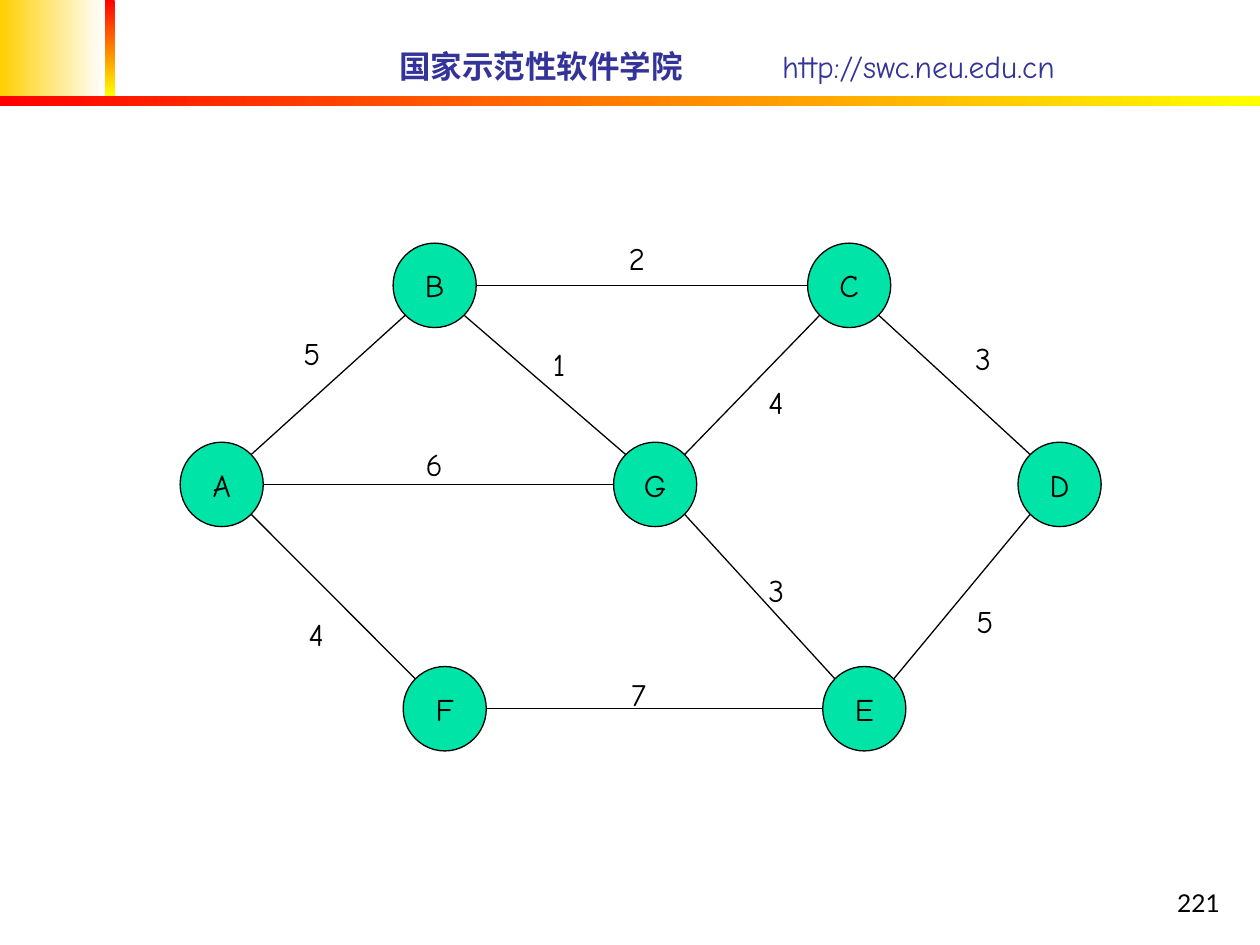
import math
from dataclasses import dataclass

from lxml import etree
from pptx import Presentation
from pptx import util as u
from pptx.dml.color import RGBColor
from pptx.enum import shapes, text
from pptx.oxml.ns import qn


@dataclass(frozen=True)
class Theme:
    font: str = "Comic Neue"
    number_font: str = "Lato"
    ink: str = "000000"
    header: str = "333399"
    node: str = "00E4A8"
    red: str = "FF0000"
    yellow: str = "FFFF00"
    gold: str = "FFCF01"
    white: str = "FFFFFF"
    body_size: int = 18
    number_size: int = 14
    line_width: float = 0.75


@dataclass(frozen=True)
class Band:
    left: float
    top: float
    width: float
    height: float
    start: str
    end: str
    angle: int = 0  # counter-clockwise degrees


@dataclass(frozen=True)
class Node:
    name: str
    left: float
    top: float


@dataclass(frozen=True)
class Edge:
    start: str
    end: str
    weight: str
    label_left: float
    label_top: float


THEME = Theme()
NODE_WIDTH, NODE_HEIGHT = 0.66, 0.67
LABEL_WIDTH, LABEL_HEIGHT = 0.39, 0.4
TOP_ROW, MIDDLE_ROW, BOTTOM_ROW = 1.93, 3.51, 5.29

BANDS = [
    Band(0, 0, 0.83, 0.76, THEME.gold, THEME.white),
    Band(0.83, 0, 0.08, 0.76, THEME.red, THEME.yellow, 270),
    Band(0, 0.76, 10, 0.08, THEME.red, THEME.yellow),
]
NODES = [
    Node("A", 1.43, MIDDLE_ROW),
    Node("B", 3.12, TOP_ROW),
    Node("C", 6.41, TOP_ROW),
    Node("D", 8.08, MIDDLE_ROW),
    Node("E", 6.53, BOTTOM_ROW),
    Node("F", 3.2, BOTTOM_ROW),
    Node("G", 4.87, MIDDLE_ROW),
]
EDGES = [
    Edge("A", "B", "5", 2.31, 2.6),
    Edge("B", "C", "2", 4.89, 1.85),
    Edge("B", "G", "1", 4.29, 2.69),
    Edge("G", "C", "4", 6, 2.99),
    Edge("A", "F", "4", 2.35, 4.83),
    Edge("F", "E", "7", 4.91, 5.31),
    Edge("E", "D", "5", 7.65, 4.73),
    Edge("C", "D", "3", 7.64, 2.64),
    Edge("A", "G", "6", 3.28, 3.48),
    Edge("G", "E", "3", 6, 4.48),
]


def add_run(paragraph, words: str, color: str = THEME.ink, bold: bool = False,
            font: str = THEME.font, size: int = THEME.body_size) -> None:
    run = paragraph.add_run()
    run.text = words
    run.font.name = font
    run.font.size = u.Pt(size)
    run.font.bold = bold
    run.font.color.rgb = RGBColor.from_string(color)


def add_text_box(slide, left: float, top: float, width: float, height: float,
                 anchor=text.MSO_ANCHOR.TOP):
    """Add an empty wrapping text box and return its first paragraph."""
    box = slide.shapes.add_textbox(*map(u.Inches, (left, top, width, height)))
    box.text_frame.word_wrap = True
    box.text_frame.vertical_anchor = anchor
    return box.text_frame.paragraphs[0]


def draw_band(slide, band: Band) -> None:
    shape = slide.shapes.add_shape(
        shapes.MSO_SHAPE.RECTANGLE,
        *map(u.Inches, (band.left, band.top, band.width, band.height)))
    shape.shadow.inherit = False
    shape.line.fill.background()
    shape.fill.gradient()
    shape.fill.gradient_angle = band.angle
    for stop, color in zip(shape.fill.gradient_stops, (band.start, band.end)):
        stop.color.rgb = RGBColor.from_string(color)


def draw_header(slide) -> None:
    paragraph = add_text_box(slide, 3.07, 0.32, 6.93, 0.4, text.MSO_ANCHOR.MIDDLE)
    tabs = etree.SubElement(paragraph._p.get_or_add_pPr(), qn("a:tabLst"))
    etree.SubElement(tabs, qn("a:tab"), pos=str(u.Inches(3.04)), algn="l")
    add_run(paragraph, "国家示范性软件学院", THEME.header, bold=True)
    add_run(paragraph, "\thttp://swc.neu.edu.cn", THEME.header)


def draw_slide_number(slide) -> None:
    paragraph = add_text_box(slide, 7.7, 6.83, 2.08, 0.5, text.MSO_ANCHOR.BOTTOM)
    paragraph.alignment = text.PP_ALIGN.RIGHT
    add_run(paragraph, "221", font=THEME.number_font, size=THEME.number_size)


def draw_node(slide, node: Node) -> None:
    shape = slide.shapes.add_shape(
        shapes.MSO_SHAPE.OVAL,
        *map(u.Inches, (node.left, node.top, NODE_WIDTH, NODE_HEIGHT)))
    shape.shadow.inherit = False
    shape.fill.solid()
    shape.fill.fore_color.rgb = RGBColor.from_string(THEME.node)
    shape.line.color.rgb = RGBColor.from_string(THEME.ink)
    shape.line.width = u.Pt(THEME.line_width)
    shape.text_frame.word_wrap = False
    shape.text_frame.vertical_anchor = text.MSO_ANCHOR.MIDDLE
    paragraph = shape.text_frame.paragraphs[0]
    paragraph.alignment = text.PP_ALIGN.CENTER
    add_run(paragraph, node.name)


def rim_point(node: Node, other: Node) -> tuple[float, float]:
    """Return the side or 45-degree point on the node's rim that faces the other."""
    across = math.copysign(1, other.left - node.left)
    down = 0 if other.top == node.top else math.copysign(1, other.top - node.top)
    reach = 0.5 / math.hypot(across, down)
    return (node.left + NODE_WIDTH * (0.5 + across * reach),
            node.top + NODE_HEIGHT * (0.5 + down * reach))


def draw_edge(slide, edge: Edge, nodes: dict[str, Node]) -> None:
    start, end = nodes[edge.start], nodes[edge.end]
    points = rim_point(start, end) + rim_point(end, start)
    connector = slide.shapes.add_connector(
        shapes.MSO_CONNECTOR.STRAIGHT, *map(u.Inches, points))
    connector.line.color.rgb = RGBColor.from_string(THEME.ink)
    connector.line.width = u.Pt(THEME.line_width)
    etree.SubElement(connector._element.spPr, qn("a:effectLst"))


def draw_weight(slide, edge: Edge) -> None:
    paragraph = add_text_box(
        slide, edge.label_left, edge.label_top, LABEL_WIDTH, LABEL_HEIGHT)
    add_run(paragraph, edge.weight)


def main() -> None:
    presentation = Presentation()
    presentation.slide_width = u.Inches(10)
    presentation.slide_height = u.Inches(7.5)
    slide = presentation.slides.add_slide(presentation.slide_layouts[6])
    for band in BANDS:
        draw_band(slide, band)
    draw_header(slide)
    draw_slide_number(slide)
    for node in NODES:
        draw_node(slide, node)
    nodes = {node.name: node for node in NODES}
    for edge in EDGES:
        draw_edge(slide, edge, nodes)
    for edge in EDGES:
        draw_weight(slide, edge)
    presentation.save("out.pptx")


if __name__ == "__main__":
    main()
